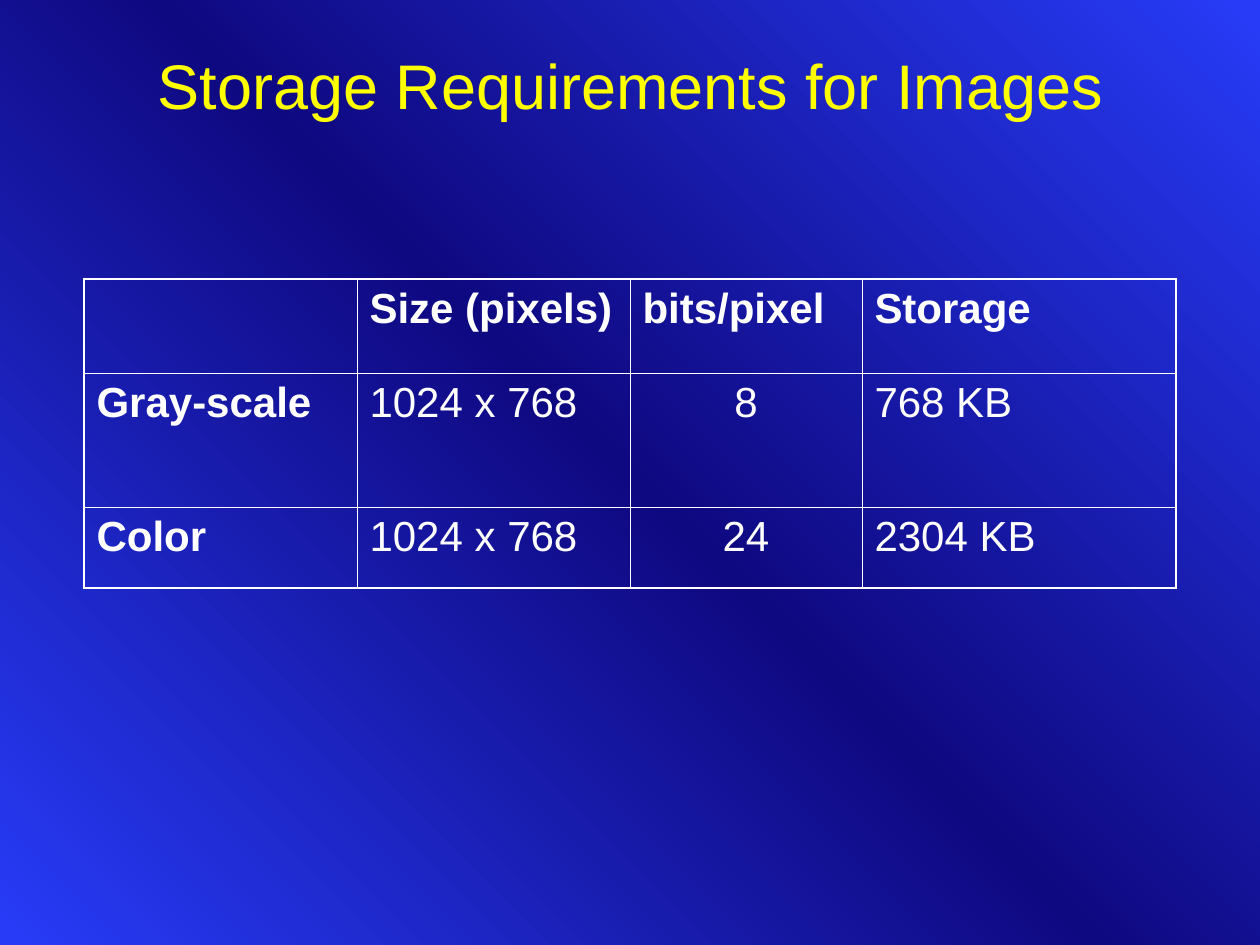
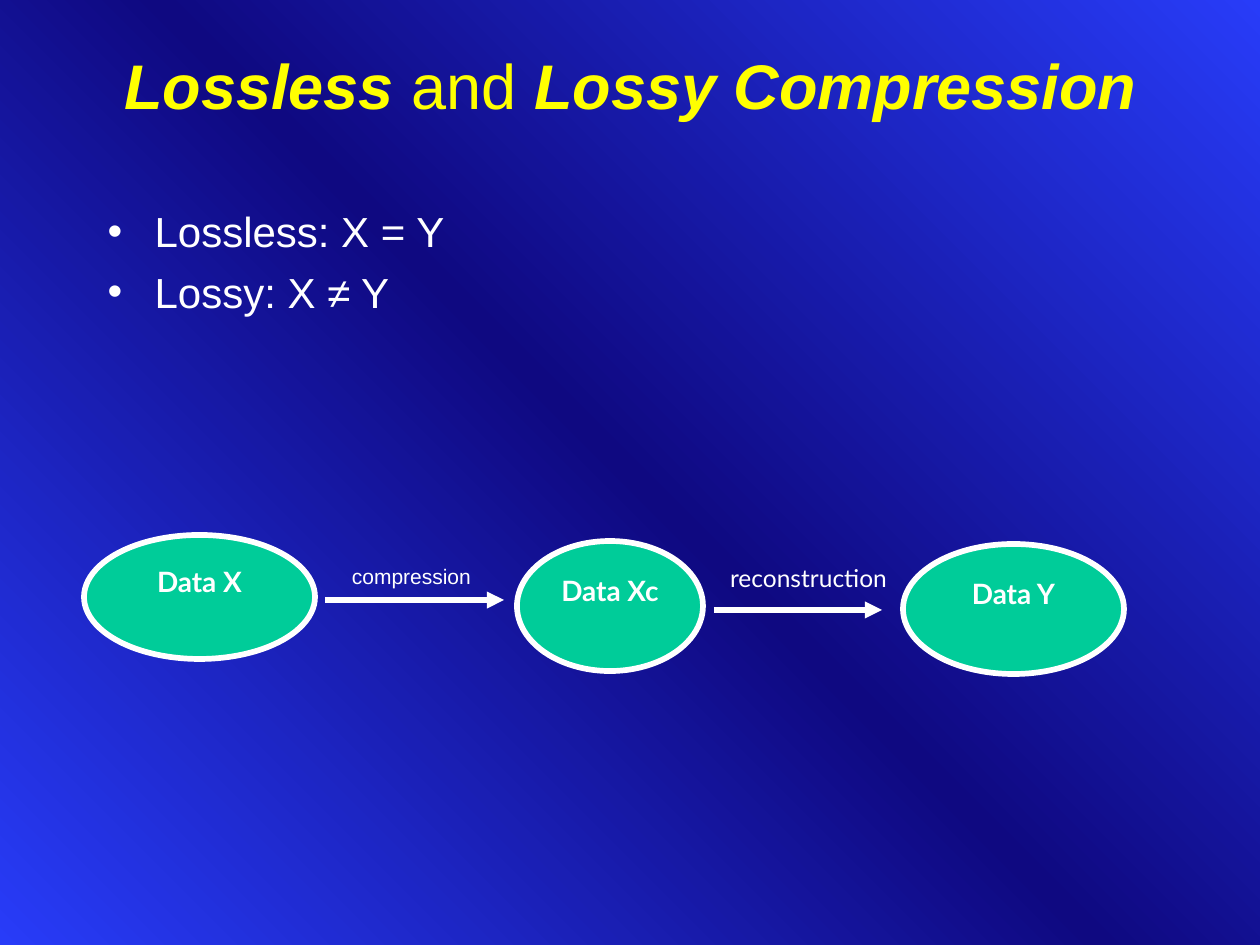
from copy import deepcopy

from lxml import etree
from pptx import Presentation
from pptx.dml.color import RGBColor
from pptx.enum.shapes import MSO_CONNECTOR, MSO_SHAPE
from pptx.enum.text import MSO_ANCHOR, MSO_AUTO_SIZE, PP_ALIGN
from pptx.oxml.ns import qn
from pptx.util import Emu, Pt

STRAIGHT = MSO_CONNECTOR.STRAIGHT
OVAL = MSO_SHAPE.OVAL
MIDDLE, TOP = MSO_ANCHOR.MIDDLE, MSO_ANCHOR.TOP
NO_AUTOFIT = MSO_AUTO_SIZE.NONE
LEFT, CENTER = PP_ALIGN.LEFT, PP_ALIGN.CENTER

BRIGHT_BLUE = RGBColor(0x28, 0x3C, 0xF8)
DARK_BLUE = RGBColor(0x0F, 0x09, 0x81)
YELLOW = RGBColor(0xFF, 0xFF, 0x00)
WHITE = RGBColor(0xFF, 0xFF, 0xFF)
GREEN = RGBColor(0x00, 0xCC, 0x99)

SANS, ROUND_SANS = "Arial", "Lato"
PX_PER_INCH = 126
PAGE_WIDTH, PAGE_HEIGHT = 1260, 945
TITLE_ONLY, TITLE_AND_BODY = 5, 1
OUTER_BORDER, INNER_BORDER = 1.08, 0.45
FLOW_LINE = 3.25


def px(length):
    return Emu(round(length * 914400 / PX_PER_INCH))


def place(shape, left, top, width, height):
    shape.left, shape.top = px(left), px(top)
    shape.width, shape.height = px(width), px(height)


def add_span(para, text, size, color=WHITE, font=SANS, bold=False, italic=False):
    span = para.add_run()
    span.text = text
    span.font.size = Pt(size)
    span.font.name = font
    span.font.color.rgb = color
    span.font.bold = bold
    span.font.italic = italic


def set_background(master):
    """Give every page the diagonal gradient, dark along its middle."""
    fill = master.background.fill
    fill.gradient()
    fill.gradient_angle = 45
    stop_list = master.element.find(".//" + qn("a:gsLst"))
    stop_list.append(deepcopy(stop_list[0]))
    colors = (BRIGHT_BLUE, DARK_BLUE, BRIGHT_BLUE)
    for index, (stop, color) in enumerate(zip(fill.gradient_stops, colors)):
        stop.position = index / 2
        stop.color.rgb = color


def add_page(deck, layout, title_spans):
    """Add a page; each title span is its text and whether it is emphasised."""
    page = deck.slides.add_slide(deck.slide_layouts[layout])
    title = page.shapes.title
    place(title, 95, 21, 1071, 126)
    frame = title.text_frame
    frame.auto_size = NO_AUTOFIT
    frame.vertical_anchor = MIDDLE
    para = frame.paragraphs[0]
    para.alignment = CENTER
    for text, strong in title_spans:
        add_span(para, text, 36, YELLOW, bold=strong, italic=strong)
    return page


def add_bullets(page, lines):
    body = page.placeholders[1]
    place(body, 95, 199, 1071, 620)
    frame = body.text_frame
    frame.auto_size = NO_AUTOFIT
    frame.vertical_anchor = TOP
    for index, line in enumerate(lines):
        para = frame.paragraphs[0] if index == 0 else frame.add_paragraph()
        para.space_before = Pt(6)
        properties = para._p.get_or_add_pPr()
        properties.set("marL", str(px(47)))
        properties.set("indent", str(px(-47)))
        add_span(para, line, 24)


def set_borders(cell, widths):
    """Draw white edges; widths are points for left, right, top and bottom."""
    properties = cell._tc.get_or_add_tcPr()
    for index, (side, width) in enumerate(zip("LRTB", widths)):
        edge = etree.Element(qn("a:ln" + side), w=str(Pt(width)))
        fill = etree.SubElement(edge, qn("a:solidFill"))
        etree.SubElement(fill, qn("a:srgbClr"), val=str(WHITE))
        properties.insert(index, edge)


def add_grid(page, left, top, widths, heights, rows, centered_column):
    """Add a table with bold headings in its first row and column."""
    frame = page.shapes.add_table(len(heights), len(widths), px(left), px(top),
                                  px(sum(widths)), px(sum(heights)))
    table = frame.table
    table.first_row = table.horz_banding = False
    for column, width in zip(table.columns, widths):
        column.width = px(width)
    for row, height in zip(table.rows, heights):
        row.height = px(height)
    last_row, last_column = len(heights) - 1, len(widths) - 1
    for r, texts in enumerate(rows):
        for c, text in enumerate(texts):
            cell = table.cell(r, c)
            cell.fill.background()
            on_edge = (c == 0, c == last_column, r == 0, r == last_row)
            set_borders(cell, [OUTER_BORDER if outer else INNER_BORDER
                               for outer in on_edge])
            if text:
                para = cell.text_frame.paragraphs[0]
                centered = r > 0 and c == centered_column
                para.alignment = CENTER if centered else LEFT
                add_span(para, text, 24, bold=r == 0 or c == 0)


def add_data_node(page, text, left, top, width, height):
    node = page.shapes.add_shape(OVAL, px(left), px(top), px(width), px(height))
    node.shadow.inherit = False
    node.fill.solid()
    node.fill.fore_color.rgb = GREEN
    node.line.color.rgb = WHITE
    node.line.width = Pt(FLOW_LINE)
    frame = node.text_frame
    frame.word_wrap = True
    frame.vertical_anchor = MIDDLE
    frame.margin_bottom = px(38)
    para = frame.paragraphs[0]
    para.alignment = CENTER
    add_span(para, text, 16, font=ROUND_SANS, bold=True)


def add_arrow(page, start, end, y):
    arrow = page.shapes.add_connector(STRAIGHT, px(start), px(y), px(end), px(y))
    arrow.line.color.rgb = WHITE
    arrow.line.width = Pt(FLOW_LINE)
    etree.SubElement(arrow.line._get_or_add_ln(), qn("a:tailEnd"), type="triangle")
    etree.SubElement(arrow._element.spPr, qn("a:effectLst"))


def add_step_label(page, text, left, top, width, height, size, font):
    box = page.shapes.add_textbox(px(left), px(top), px(width), px(height))
    frame = box.text_frame
    frame.word_wrap = True
    frame.margin_left = px(37)
    add_span(frame.paragraphs[0], text, size, font=font)


def main():
    deck = Presentation()
    deck.slide_width, deck.slide_height = px(PAGE_WIDTH), px(PAGE_HEIGHT)
    set_background(deck.slide_master)

    page = add_page(deck, TITLE_ONLY, [("Storage Requirements for Images", False)])
    storage_rows = [
        ("", "Size (pixels)", "bits/pixel", "Storage"),
        ("Gray-scale", "1024 x 768", "8", "768 KB"),
        ("Color", "1024 x 768", "24", "2304 KB"),
    ]
    add_grid(page, 84, 279, (273, 273, 232, 314), (94, 134, 81),
             storage_rows, centered_column=2)

    page = add_page(deck, TITLE_AND_BODY, [
        ("Lossless", True), (" and ", False), ("Lossy Compression", True)])
    add_bullets(page, ["Lossless: X = Y", "Lossy: X ≠ Y"])
    add_data_node(page, "Data X", 84, 535, 231, 124)
    add_data_node(page, "Data Xc", 517, 541, 186, 130)
    add_data_node(page, "Data Y", 903, 544, 221, 130)
    add_arrow(page, 325, 504, 600)
    add_arrow(page, 714, 882, 610)
    add_step_label(page, "compression", 315, 557, 179, 38, 12, SANS)
    add_step_label(page, "reconstruction", 693, 557, 210, 72, 14, ROUND_SANS)

    deck.save("out.pptx")


if __name__ == "__main__":
    main()
